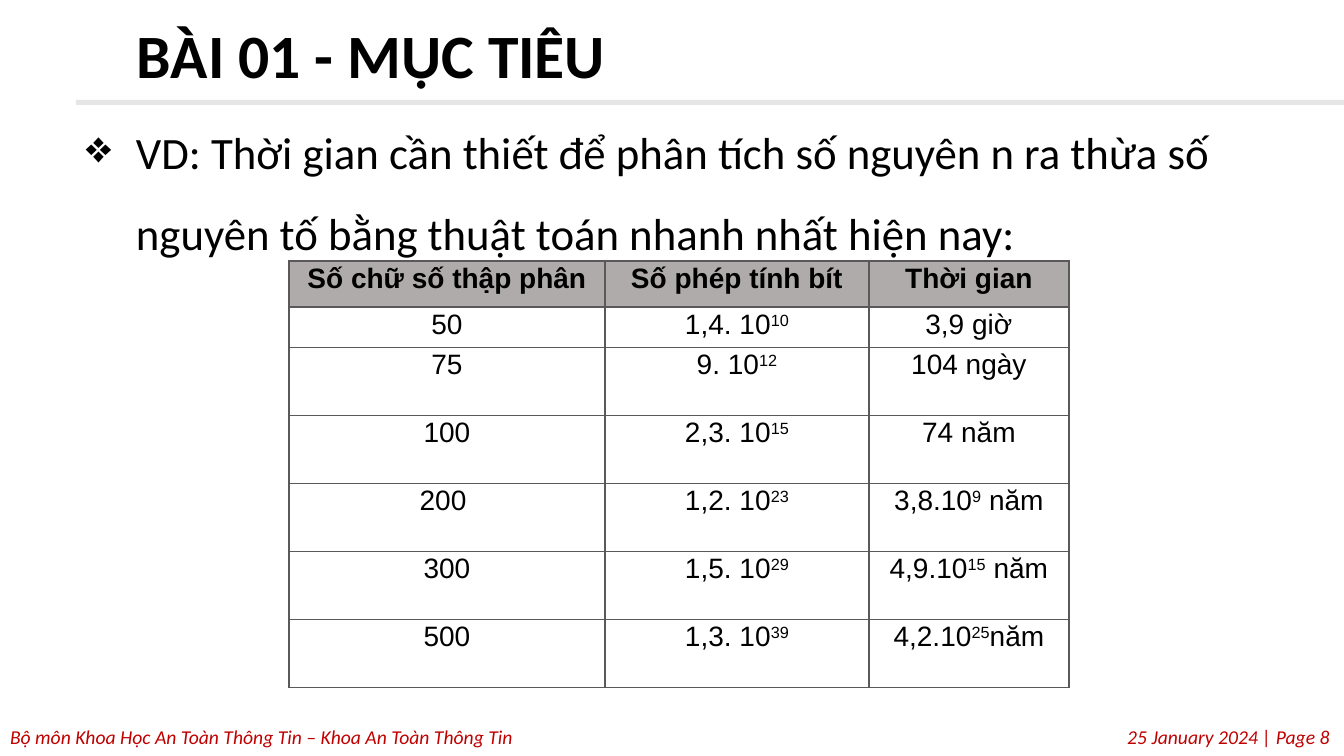
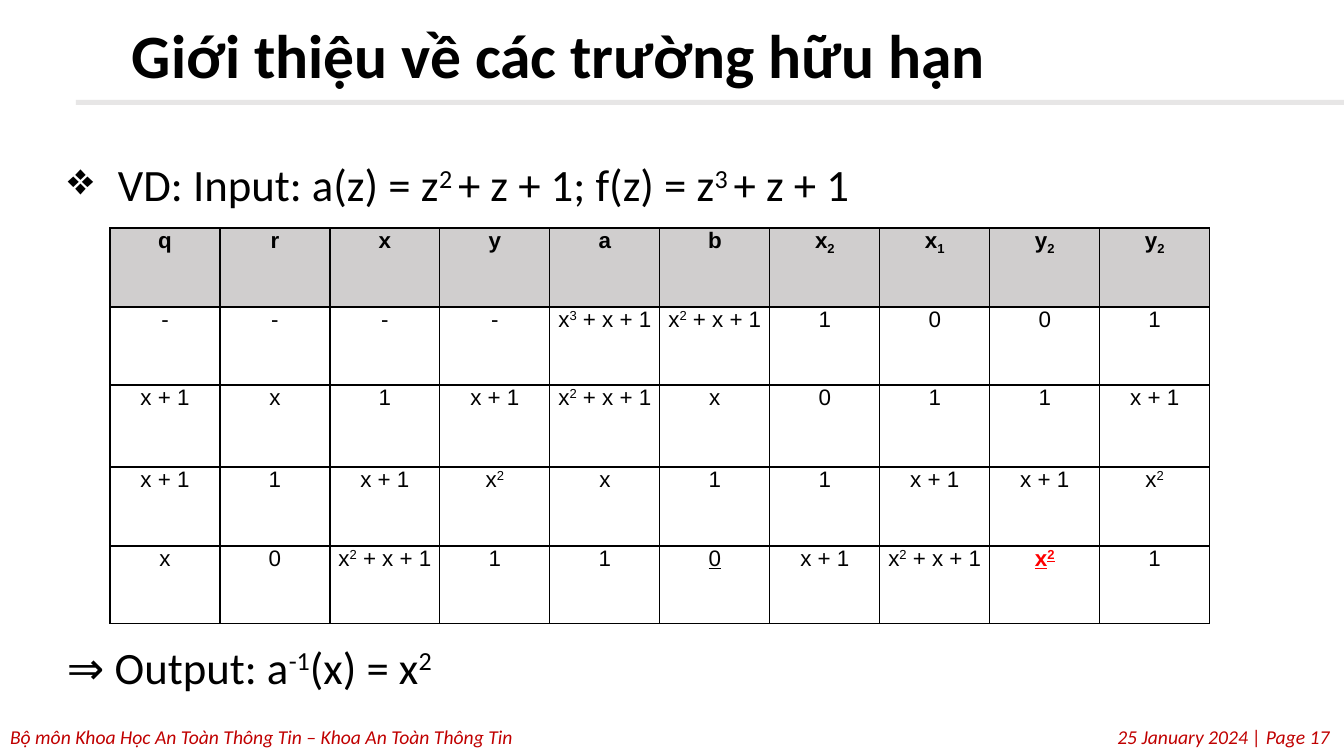
from dataclasses import dataclass, replace
from typing import NamedTuple

from lxml.etree import SubElement
from pptx import Presentation
from pptx.dml.color import RGBColor
from pptx.enum.shapes import MSO_SHAPE
from pptx.enum.text import MSO_ANCHOR, PP_ALIGN
from pptx.oxml.ns import qn
from pptx.util import Emu, Pt

EMU_PER_PX = 914400 / 100.8
SLIDE_WIDTH, SLIDE_HEIGHT = 1344, 756
BLACK, RED, DARK_RED = "000000", "FF0000", "C00000"
BASELINES = {"^": "30000", "_": "-25000"}
DEPARTMENT = "Bộ môn Khoa Học An Toàn Thông Tin – Khoa An Toàn Thông Tin"
DATE = "25 January 2024"


@dataclass(frozen=True)
class Style:
    size: int
    font: str = "Calibri"
    color: str = BLACK
    bold: bool = False
    italic: bool = False
    underline: bool = False
    line_spacing: float = 1.0
    align: PP_ALIGN = PP_ALIGN.LEFT


TITLE = Style(44, bold=True, line_spacing=0.9)
BODY = Style(32, line_spacing=1.5)
FOOTER = Style(14, color=DARK_RED, italic=True)
FOOTER_RIGHT = replace(FOOTER, align=PP_ALIGN.RIGHT)
TIME_CELL = Style(20, "Arial", line_spacing=0.9, align=PP_ALIGN.CENTER)
FIELD_CELL = Style(16, "Arial", align=PP_ALIGN.CENTER)


class Box(NamedTuple):
    left: int
    top: int
    width: int
    height: int


class Insets(NamedTuple):
    horizontal: int
    vertical: int


@dataclass(frozen=True)
class BodyLine:
    text: str
    margin: int = 68
    indent: int = -50
    bullet: str = "❖"
    space_before: int = 0


@dataclass(frozen=True)
class Grid:
    left: int
    top: int
    columns: tuple
    rows: tuple
    cells: list
    style: Style
    insets: Insets
    border: str
    header_fill: str
    special: dict


def px(length: int) -> Emu:
    return Emu(round(length * EMU_PER_PX))


def rgb(color: str) -> RGBColor:
    return RGBColor.from_string(color)


def place(box: Box) -> list:
    return [px(length) for length in box]


def add_text(paragraph, text: str, style: Style) -> None:
    """Add runs; {^...} is superscript and {_...} is subscript."""
    paragraph.alignment = style.align
    paragraph.line_spacing = style.line_spacing
    for index, piece in enumerate(text.replace("}", "{").split("{")):
        if not piece:
            continue
        raised = index % 2 == 1
        run = paragraph.add_run()
        run.text = piece[1:] if raised else piece
        font = run.font
        font.name, font.size = style.font, Pt(style.size)
        font.bold, font.italic = style.bold, style.italic
        font.underline = style.underline
        font.color.rgb = rgb(style.color)
        if raised:
            run._r.get_or_add_rPr().set("baseline", BASELINES[piece[0]])


def add_frame(slide, box: Box, insets: Insets, anchor=MSO_ANCHOR.TOP):
    frame = slide.shapes.add_textbox(*place(box)).text_frame
    frame.word_wrap = True
    frame.vertical_anchor = anchor
    frame.margin_left = frame.margin_right = px(insets.horizontal)
    frame.margin_top = frame.margin_bottom = px(insets.vertical)
    return frame


def add_body(slide, box: Box, lines: list[BodyLine]) -> None:
    frame = add_frame(slide, box, Insets(10, 10))
    for index, line in enumerate(lines):
        paragraph = frame.add_paragraph() if index else frame.paragraphs[0]
        add_text(paragraph, line.text, BODY)
        paragraph.space_before = Pt(line.space_before)
        properties = paragraph._p.get_or_add_pPr()
        properties.set("marL", str(px(line.margin)))
        properties.set("indent", str(px(line.indent)))
        if line.bullet:
            SubElement(properties, qn("a:buChar"), char=line.bullet)


def add_borders(cell, color: str) -> None:
    properties = cell._tc.get_or_add_tcPr()
    for side in ("a:lnL", "a:lnR", "a:lnT", "a:lnB"):
        line = SubElement(properties, qn(side), w=str(Pt(1)))
        fill = SubElement(line, qn("a:solidFill"))
        SubElement(fill, qn("a:srgbClr"), val=color)


def add_grid(slide, grid: Grid) -> None:
    box = Box(grid.left, grid.top, sum(grid.columns), sum(grid.rows))
    table = slide.shapes.add_table(len(grid.rows), len(grid.columns), *place(box)).table
    table.first_row = table.horz_banding = False
    for column, width in zip(table.columns, grid.columns):
        column.width = px(width)
    for row, height in zip(table.rows, grid.rows):
        row.height = px(height)
    for row_index, texts in enumerate(grid.cells):
        header = row_index == 0
        for column_index, text in enumerate(texts):
            cell = table.cell(row_index, column_index)
            cell.margin_left = cell.margin_right = px(grid.insets.horizontal)
            cell.margin_top = cell.margin_bottom = px(grid.insets.vertical)
            add_borders(cell, grid.border)
            if header:
                cell.fill.solid()
                cell.fill.fore_color.rgb = rgb(grid.header_fill)
            else:
                cell.fill.background()
            style = grid.special.get((row_index, column_index), replace(grid.style, bold=header))
            add_text(cell.text_frame.paragraphs[0], text, style)


def add_base_slide(presentation, title: str, title_left: int, page: int):
    """Blank slide with the shared footer, title rule and title."""
    slide = presentation.slides.add_slide(presentation.slide_layouts[6])
    footers = ((DEPARTMENT, SLIDE_WIDTH, FOOTER), (f"{DATE} | Page {page}", 1340, FOOTER_RIGHT))
    for text, width, style in footers:
        frame = add_frame(slide, Box(0, 720, width, 34), Insets(10, 5))
        add_text(frame.paragraphs[0], text, style)
    rule = slide.shapes.add_shape(MSO_SHAPE.RECTANGLE, *place(Box(76, 100, 1268, 5)))
    rule.shadow.inherit = False
    rule.fill.solid()
    rule.fill.fore_color.rgb = rgb("E7E6E6")
    rule.line.fill.background()
    frame = add_frame(slide, Box(title_left, 19, 1215, 79), Insets(10, 10), MSO_ANCHOR.MIDDLE)
    add_text(frame.paragraphs[0], title, TITLE)
    return slide


# Factoring times
FACTORING = Grid(
    left=289, top=261, columns=(316, 264, 200), rows=(46, 39) + (68,) * 5,
    cells=[
        ["Số chữ số thập phân", "Số phép tính bít", "Thời gian"],
        ["50", "1,4. 10{^10}", "3,9 giờ"],
        ["75", "9. 10{^12}", "104 ngày"],
        ["100", "2,3. 10{^15}", "74 năm"],
        ["200 ", "1,2. 10{^23}", "3,8.10{^9} năm"],
        ["300", "1,5. 10{^29}", "4,9.10{^15} năm"],
        ["500", "1,3. 10{^39}", "4,2.10{^25}năm"],
    ],
    style=TIME_CELL, insets=Insets(10, 5), border="595959", header_fill="AFABAB", special={},
)

# Steps of the inverse in a finite field
QUADRATIC = "x{^2} + x + 1"
INVERSE = Grid(
    left=110, top=228, columns=(110,) * 10, rows=(79, 78, 82, 79, 78),
    cells=[
        ["q", "r", "x", "y", "a", "b", "x{_2}", "x{_1}", "y{_2}", "y{_2}"],
        ["-", "-", "-", "-", "x{^3} + x + 1", QUADRATIC, "1", "0", "0", "1"],
        ["x + 1", "x", "1", "x + 1", QUADRATIC, "x", "0", "1", "1", "x + 1"],
        ["x + 1", "1", "x + 1", "x{^2}", "x", "1", "1", "x + 1", "x + 1", "x{^2}"],
        ["x", "0", QUADRATIC, "1", "1", "0", "x + 1", QUADRATIC, "x{^2}", "1"],
    ],
    style=FIELD_CELL, insets=Insets(7, 0), border=BLACK, header_fill="D0CECE",
    special={
        (4, 5): replace(FIELD_CELL, underline=True),
        (4, 8): replace(FIELD_CELL, color=RED, bold=True, underline=True),
    },
)


def main() -> None:
    presentation = Presentation()
    presentation.slide_width, presentation.slide_height = px(SLIDE_WIDTH), px(SLIDE_HEIGHT)

    # Slide: goals
    slide = add_base_slide(presentation, "BÀI 01 - MỤC TIÊU", 127, 8)
    add_body(slide, Box(58, 88, 1243, 607), [
        BodyLine("VD: Thời gian cần thiết để phân tích số nguyên n ra thừa số "
                 "nguyên tố bằng thuật toán nhanh nhất hiện nay:"),
    ])
    add_grid(slide, FACTORING)

    # Slide: finite fields
    slide = add_base_slide(presentation, "Giới thiệu về các trường hữu hạn", 122, 17)
    add_body(slide, Box(40, 120, 1286, 590), [
        BodyLine("VD: Input: a(z) = z{^2 }+ z + 1; f(z) = z{^3 }+ z + 1"),
        BodyLine("⇒ Output: a{^-1}(x) = x{^2}", margin=17, indent=0, bullet="", space_before=287),
    ])
    add_grid(slide, INVERSE)

    presentation.save("out.pptx")


if __name__ == "__main__":
    main()
